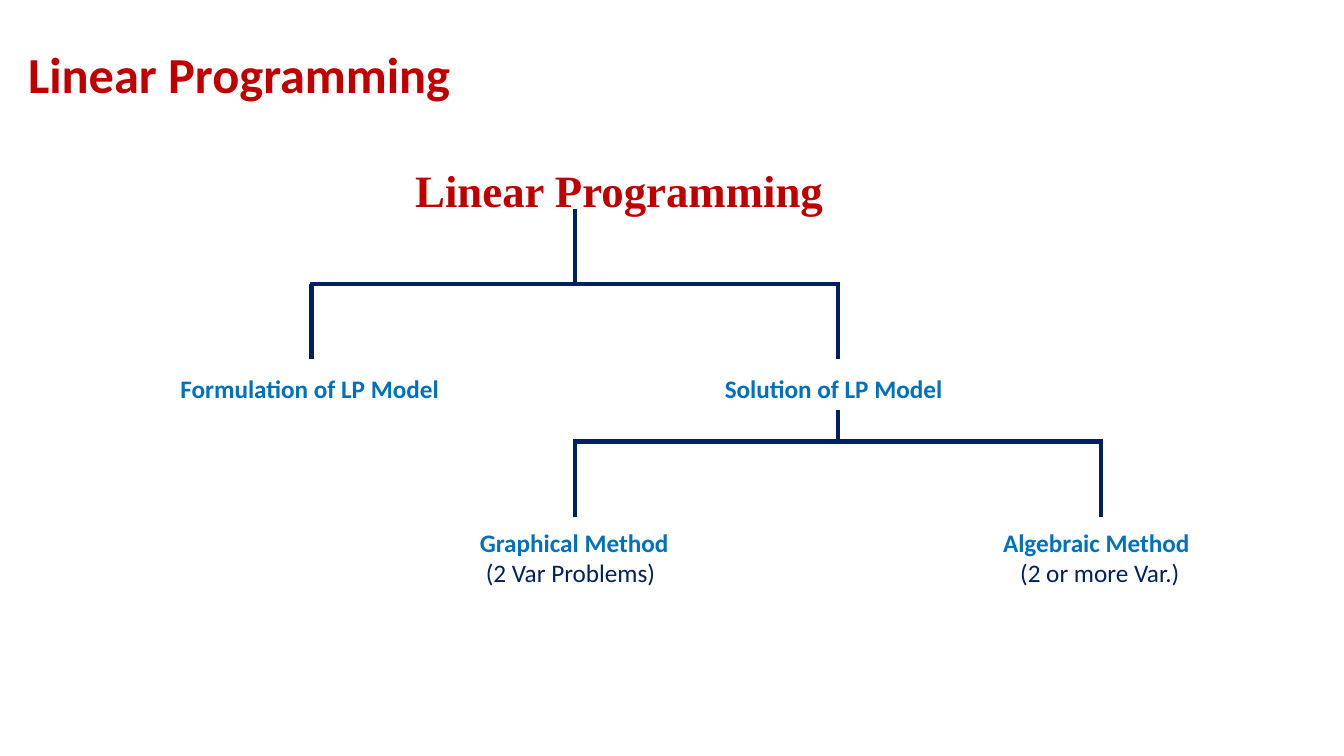
from dataclasses import dataclass

from lxml.etree import SubElement
from pptx import Presentation
from pptx.dml.color import RGBColor
from pptx.enum.shapes import MSO_CONNECTOR
from pptx.enum.text import MSO_ANCHOR
from pptx.oxml.ns import qn
from pptx.util import Inches, Pt


@dataclass(frozen=True)
class Theme:
    red: RGBColor = RGBColor(0xC0, 0x00, 0x00)
    blue: RGBColor = RGBColor(0x00, 0x70, 0xC0)
    navy: RGBColor = RGBColor(0x00, 0x20, 0x60)
    sans: str = "Calibri"
    serif: str = "Times New Roman"
    title_size: int = 36
    root_size: int = 32
    label_size: int = 18
    line_width: int = 3


THEME = Theme()
COLUMNS = [3.09 + 2.61 * index for index in range(4)]
BAR_OVERHANG = 0.02


def text_format(size, color, name=THEME.sans, bold=True):
    return {"size": Pt(size), "color": color, "name": name, "bold": bold}


TITLE = text_format(THEME.title_size, THEME.red)
ROOT = text_format(THEME.root_size, THEME.red, THEME.serif)
LABEL = text_format(THEME.label_size, THEME.blue)
NOTE = text_format(THEME.label_size, THEME.navy, bold=False)


def apply_format(font, values):
    for name, value in values.items():
        if name == "color":
            font.color.rgb = value
        else:
            setattr(font, name, value)


def add_text(slide, box, lines, anchor=MSO_ANCHOR.TOP):
    shape = slide.shapes.add_textbox(*map(Inches, box))
    frame = shape.text_frame
    frame.word_wrap = True
    frame.vertical_anchor = anchor
    for index, (text, values, indent) in enumerate(lines):
        paragraph = frame.add_paragraph() if index else frame.paragraphs[0]
        paragraph._p.get_or_add_pPr().set("marL", str(Inches(indent)))
        run = paragraph.add_run()
        run.text = text
        apply_format(run.font, values)
    return shape


def add_line(slide, *ends):
    connector = slide.shapes.add_connector(MSO_CONNECTOR.STRAIGHT, *map(Inches, ends))
    connector.line.color.rgb = THEME.navy
    connector.line.width = Pt(THEME.line_width)
    SubElement(connector._element.spPr, qn("a:effectLst"))


def add_branch(slide, parent, children, top, bar, bottom):
    add_line(slide, parent, top, parent, bar)
    add_line(slide, children[0] - BAR_OVERHANG, bar, children[-1] + BAR_OVERHANG, bar)
    for child in children:
        add_line(slide, child, bar, child, bottom)


def main():
    presentation = Presentation()
    presentation.slide_width = Inches(13.33)
    presentation.slide_height = Inches(7.5)
    slide = presentation.slides.add_slide(presentation.slide_layouts[6])

    title = add_text(slide, (0.18, 0.35, 11.17, 0.74),
                     [("Linear Programming", TITLE, 0)], MSO_ANCHOR.BOTTOM)
    title.text_frame.paragraphs[0].line_spacing = 0.9

    formulation, root, solution, algebraic = COLUMNS
    add_branch(slide, root, (formulation, solution), 2.07, 2.82, 3.56)
    add_branch(slide, solution, (root, algebraic), 4.07, 4.38, 5.13)

    nodes = [
        ((4.02, 1.57, 4.6, 0.6), [("Linear Programming", ROOT, 0)]),
        ((1.69, 3.65, 2.78, 0.4), [("Formulation of LP Model", LABEL, 0)]),
        ((7.09, 3.65, 2.38, 0.4), [("Solution of LP Model", LABEL, 0)]),
        ((4.66, 5.18, 2.09, 0.71),
         [("Graphical Method", LABEL, 0), ("(2 Var Problems)", NOTE, 0.06)]),
        ((9.85, 5.18, 2.09, 0.71),
         [("Algebraic Method", LABEL, 0), ("(2 or more Var.)", NOTE, 0.17)]),
    ]
    for box, lines in nodes:
        add_text(slide, box, lines)

    presentation.save("out.pptx")


if __name__ == "__main__":
    main()
